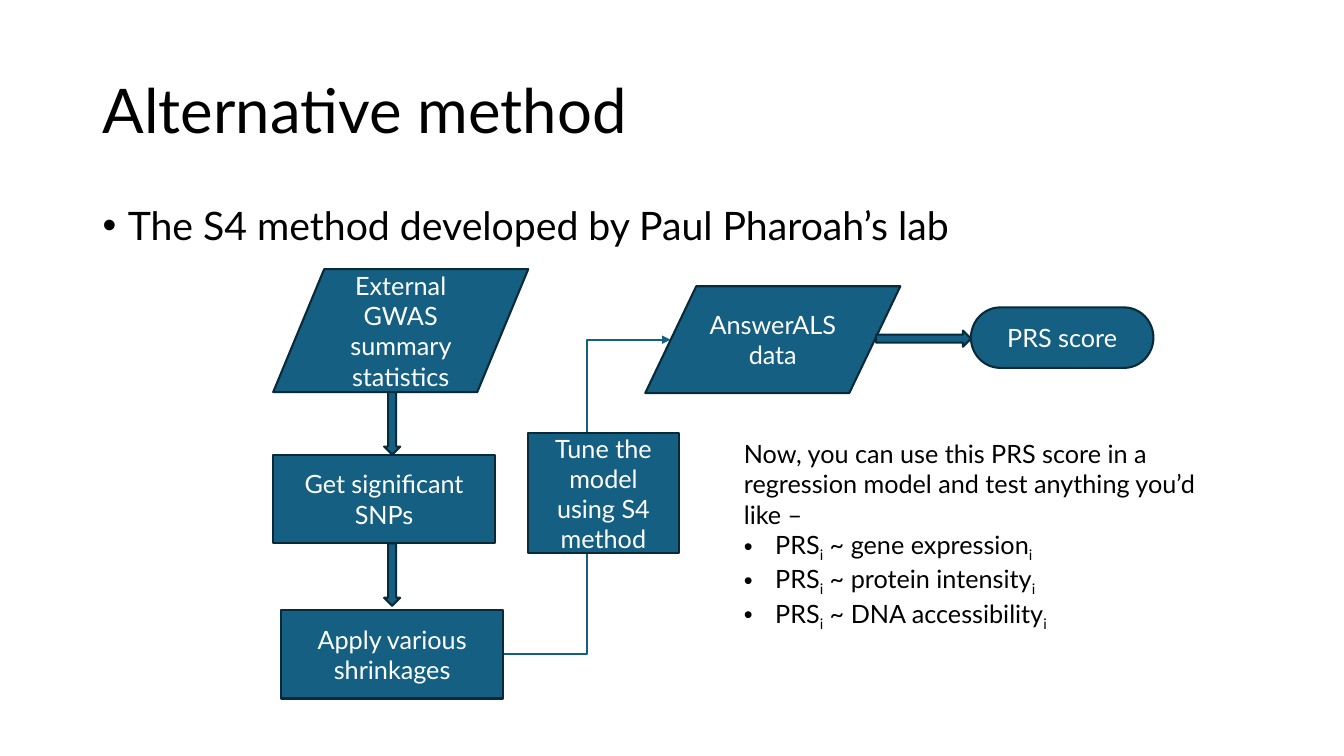
"""Build the slide that explains the S4 alternative method as a flow chart."""
from dataclasses import dataclass
from typing import Optional

import lxml.etree
import pptx
import pptx.dml.color
import pptx.enum.dml
import pptx.enum.shapes
import pptx.enum.text
import pptx.oxml.ns
import pptx.util

Inches = pptx.util.Inches
Preset = pptx.enum.shapes.MSO_SHAPE
Align = pptx.enum.text.PP_ALIGN
Anchor = pptx.enum.text.MSO_ANCHOR


@dataclass(frozen=True)
class Theme:
    font: str = "Lato"
    black: str = "000000"
    white: str = "FFFFFF"
    fill: str = "156082"
    outline: str = "092A39"
    title_size: int = 44
    lead_size: int = 28
    body_size: int = 18
    line_width: float = 1.5


@dataclass(frozen=True)
class Node:
    preset: Preset
    left: float
    top: float
    width: float
    height: float
    label: str = ""


@dataclass(frozen=True)
class Line:
    """A paragraph whose every second piece is a subscript."""
    pieces: tuple[str, ...]
    indent: Optional[float] = None


THEME = Theme()

STEPS = (
    Node(Preset.FLOWCHART_DATA, 2.71, 2.67, 2.53, 1.22, "External GWAS summary statistics"),
    Node(Preset.FLOWCHART_PROCESS, 2.71, 4.51, 2.2, 0.88, "Get significant SNPs"),
    Node(Preset.FLOWCHART_PROCESS, 2.79, 6.05, 2.2, 0.88, "Apply various shrinkages"),
    Node(Preset.FLOWCHART_DATA, 6.4, 2.84, 2.53, 1.06, "AnswerALS data"),
    Node(Preset.FLOWCHART_PROCESS, 5.24, 4.3, 1.49, 1.19, "Tune the model using S4 method"),
    Node(Preset.FLOWCHART_TERMINATOR, 9.63, 3.05, 1.81, 0.6, "PRS score"),
)
ARROWS = (
    Node(Preset.DOWN_ARROW, 3.81, 3.89, 0.16, 0.62),
    Node(Preset.DOWN_ARROW, 3.81, 5.39, 0.16, 0.62),
    Node(Preset.RIGHT_ARROW, 8.69, 3.28, 0.94, 0.16),
)
MEASURES = ("gene expression", "protein intensity", "DNA accessibility")


def color(value: str) -> pptx.dml.color.RGBColor:
    return pptx.dml.color.RGBColor.from_string(value)


def add_bullet(para, indent: float) -> None:
    properties = para._p.get_or_add_pPr()
    properties.set("marL", str(Inches(indent)))
    properties.set("indent", str(-Inches(indent)))
    for tag, name, value in (("a:buFont", "typeface", "Arial"), ("a:buChar", "char", "•")):
        lxml.etree.SubElement(properties, pptx.oxml.ns.qn(tag)).set(name, value)


def write_text(shape, lines: list[Line], *, size: int = THEME.body_size,
               ink: str = THEME.black, align: Align = Align.LEFT,
               anchor: Anchor = Anchor.TOP, spacing: float = 1.0) -> None:
    frame = shape.text_frame
    frame.word_wrap = True
    frame.auto_size = pptx.enum.text.MSO_AUTO_SIZE.NONE
    frame.vertical_anchor = anchor
    for number, line in enumerate(lines):
        para = frame.add_paragraph() if number else frame.paragraphs[0]
        para.alignment = align
        para.line_spacing = spacing
        if line.indent is not None:
            add_bullet(para, line.indent)
        for position, piece in enumerate(line.pieces):
            span = para.add_run()
            span.text = piece
            span.font.name = THEME.font
            span.font.size = pptx.util.Pt(size)
            span.font.color.rgb = color(ink)
            if position % 2:
                span._r.get_or_add_rPr().set("baseline", "-25000")


def draw_node(page, node: Node) -> None:
    shape = page.shapes.add_shape(node.preset, Inches(node.left), Inches(node.top),
                                  Inches(node.width), Inches(node.height))
    shape.shadow.inherit = False
    shape.fill.solid()
    shape.fill.fore_color.rgb = color(THEME.fill)
    shape.line.color.rgb = color(THEME.outline)
    shape.line.width = pptx.util.Pt(THEME.line_width)
    if node.label:
        write_text(shape, [Line((node.label,))], ink=THEME.white,
                   align=Align.CENTER, anchor=Anchor.MIDDLE)


def draw_elbow(page, start: tuple[float, float], end: tuple[float, float]) -> None:
    elbow = page.shapes.add_connector(pptx.enum.shapes.MSO_CONNECTOR.ELBOW,
                                      *map(Inches, start + end))
    elbow.line.color.rgb = color(THEME.fill)
    elbow.line.width = pptx.util.Pt(THEME.line_width)
    outline = elbow.line._get_or_add_ln()
    lxml.etree.SubElement(outline, pptx.oxml.ns.qn("a:tailEnd")).set("type", "triangle")
    lxml.etree.SubElement(elbow._element.spPr, pptx.oxml.ns.qn("a:effectLst"))


def add_box(page, left: float, top: float, width: float, height: float):
    return page.shapes.add_textbox(Inches(left), Inches(top), Inches(width), Inches(height))


def main() -> None:
    deck = pptx.Presentation()
    deck.slide_width, deck.slide_height = Inches(13.33), Inches(7.5)
    page = deck.slides.add_slide(deck.slide_layouts.get_by_name("Title Only"))

    title = page.shapes.title
    title.left, title.top = Inches(0.92), Inches(0.4)
    title.width, title.height = Inches(11.5), Inches(1.45)
    write_text(title, [Line(("Alternative method",))], size=THEME.title_size,
               anchor=Anchor.MIDDLE, spacing=0.9)

    lead = add_box(page, 0.92, 2, 11.5, 0.6)
    write_text(lead, [Line(("The S4 method developed by Paul Pharoah’s lab",), 0.25)],
               size=THEME.lead_size, spacing=0.9)

    draw_elbow(page, (5, 6.49), (6.65, 3.37))
    for node in STEPS + ARROWS:
        draw_node(page, node)

    usage = Line(("Now, you can use this PRS score in a regression model "
                  "and test anything you’d like –",))
    models = [Line(("PRS", "i", f" ~ {measure}", "i"), 0.31) for measure in MEASURES]
    write_text(add_box(page, 7.28, 4.3, 4.82, 1.92), [usage, *models])

    deck.save("out.pptx")


if __name__ == "__main__":
    main()
